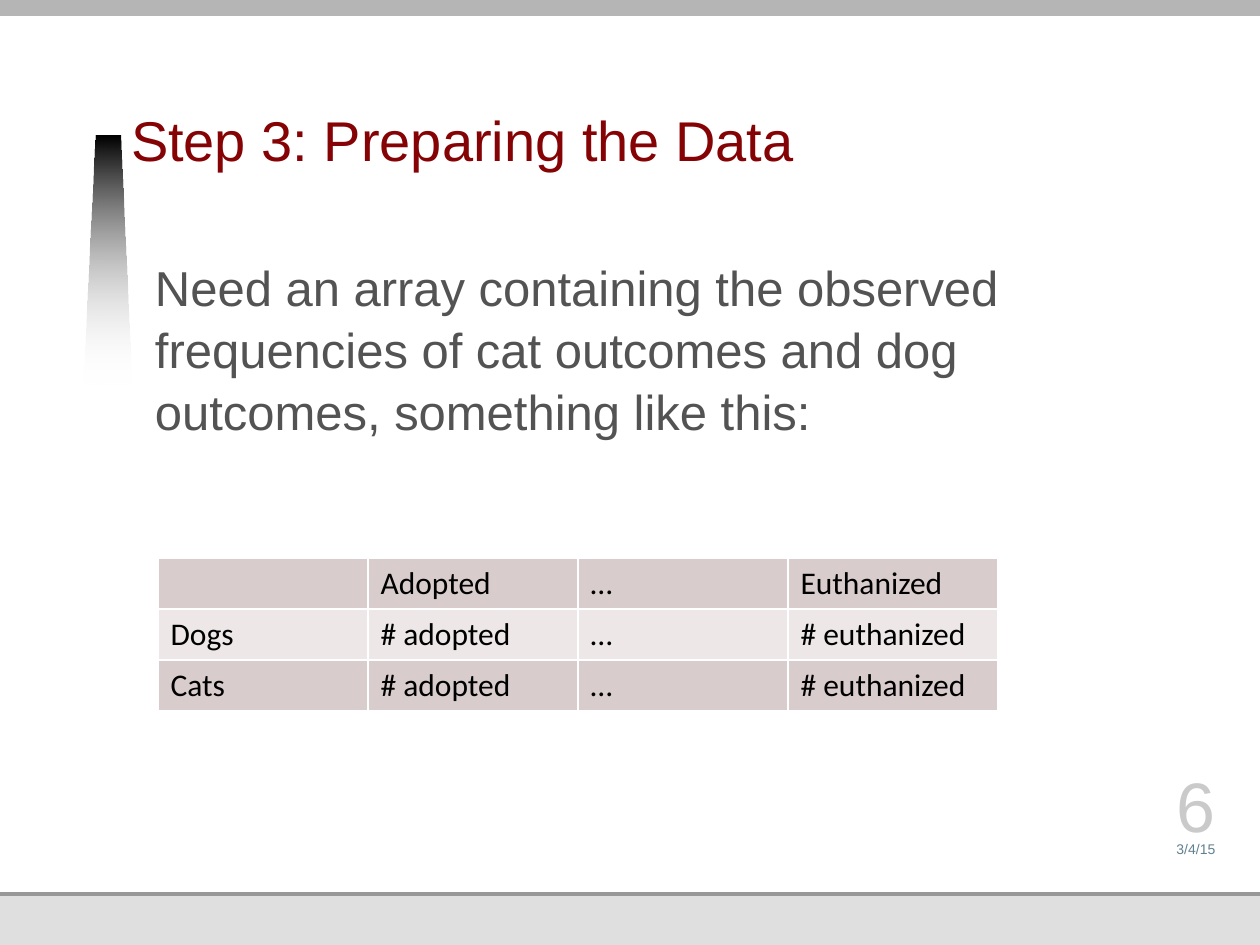
from lxml.etree import SubElement
from pptx import Presentation
from pptx.dml.color import RGBColor
from pptx.enum.shapes import MSO_SHAPE as Preset
from pptx.enum.text import MSO_ANCHOR as Anchor, PP_ALIGN as Align
from pptx.oxml.ns import qn
from pptx.util import Emu, Pt

SCALE = 914400 / 126
WIDTH, HEIGHT = 1260, 945

WHITE = RGBColor(0xFF, 0xFF, 0xFF)
BLACK = RGBColor(0x00, 0x00, 0x00)
FOOTER_GRAY = RGBColor(0xDF, 0xDF, 0xDF)
RULE_GRAY = RGBColor(0x98, 0x98, 0x98)
TOP_GRAY = RGBColor(0xB5, 0xB5, 0xB5)
MAROON = RGBColor(0x85, 0x02, 0x05)
BODY_GRAY = RGBColor(0x53, 0x53, 0x53)
DATE_BLUE = RGBColor(0x61, 0x80, 0x91)
NUMBER_GRAY = RGBColor(0xCA, 0xCA, 0xCA)
ROW_DARK = RGBColor(0xD9, 0xCC, 0xCC)
ROW_LIGHT = RGBColor(0xED, 0xE7, 0xE7)

BANDS = [
    ((0, 0, WIDTH, HEIGHT), FOOTER_GRAY),
    ((0, 224, WIDTH, 672), RULE_GRAY),
    ((0, 0, WIDTH, 892), WHITE),
    ((0, 0, 995, 14), RULE_GRAY),
    ((0, -5, 1281, 21), TOP_GRAY),
]
ACCENT = [(84, 384), (96, 136), (120, 136), (131, 384)]

TITLE = "Step 3: Preparing the Data"
BODY = ("Need an array containing the observed frequencies of cat outcomes "
        "and dog outcomes, something like this:")
TEXTS = [
    (TITLE, (131, 43, 866, 136), 32, MAROON, Anchor.BOTTOM, Align.LEFT, 6, Pt(34)),
    (BODY, (155, 255, 971, 604), 28, BODY_GRAY, Anchor.TOP, Align.LEFT, 6, 1.05),
    ("3/4/15", (1150, 829, 92, 28), 8, DATE_BLUE, Anchor.BOTTOM, Align.CENTER, 0, None),
    ("6", (1150, 776, 92, 71), 40, NUMBER_GRAY, Anchor.BOTTOM, Align.CENTER, 0, None),
]

OUTCOMES = [
    ["", "Adopted", "…", "Euthanized"],
    ["Dogs", "# adopted", "…", "# euthanized"],
    ["Cats", "# adopted", "…", "# euthanized"],
]
TABLE_LEFT, TABLE_TOP, COLUMN, ROW = 158, 558, 210, 51


def px(value):
    return Emu(round(value * SCALE))


def add_band(slide, box, color):
    band = slide.shapes.add_shape(Preset.RECTANGLE, *map(px, box))
    band.shadow.inherit = False
    band.fill.solid()
    band.fill.fore_color.rgb = color
    band.line.fill.background()


def add_accent(slide):
    builder = slide.shapes.build_freeform(*ACCENT[0], scale=SCALE)
    builder.add_line_segments(ACCENT[1:], close=True)
    accent = builder.convert_to_shape()
    accent.shadow.inherit = False
    accent.line.fill.background()
    accent.fill.gradient()
    accent.fill.gradient_angle = 270
    for stop, color, position in zip(accent.fill.gradient_stops, (BLACK, WHITE), (0, 1)):
        stop.color.rgb = color
        stop.position = position
    last_color = list(accent.fill._fill._gradFill.iter(qn("a:srgbClr")))[-1]
    SubElement(last_color, qn("a:alpha"), val="0")


def add_text(slide, text, box, size, color, anchor, align, inset, spacing):
    frame = slide.shapes.add_textbox(*map(px, box)).text_frame
    frame.word_wrap = True
    frame.vertical_anchor = anchor
    frame.margin_left = frame.margin_top = frame.margin_right = 0
    frame.margin_bottom = px(inset)
    frame.text = text
    paragraph = frame.paragraphs[0]
    paragraph.alignment = align
    paragraph.line_spacing = spacing
    style(paragraph.font, "Arial", size, color)


def style(font, name, size, color):
    font.name = name
    font.size = Pt(size)
    font.color.rgb = color
    font.bold = False


def add_borders(cell):
    properties = cell._tc.get_or_add_tcPr()
    for index, side in enumerate(("lnL", "lnR", "lnT", "lnB")):
        border = properties.makeelement(qn(f"a:{side}"), {"w": str(Pt(1))})
        fill = SubElement(border, qn("a:solidFill"))
        SubElement(fill, qn("a:srgbClr"), val=str(WHITE))
        properties.insert(index, border)


def add_outcomes(slide):
    rows, columns = len(OUTCOMES), len(OUTCOMES[0])
    box = (TABLE_LEFT, TABLE_TOP, COLUMN * columns, ROW * rows)
    table = slide.shapes.add_table(rows, columns, *map(px, box)).table
    table.first_row = table.horz_banding = False
    for row, labels in enumerate(OUTCOMES):
        for column, label in enumerate(labels):
            cell = table.cell(row, column)
            cell.text = label
            style(cell.text_frame.paragraphs[0].font, "Calibri", 18, BLACK)
            cell.fill.solid()
            cell.fill.fore_color.rgb = ROW_LIGHT if row % 2 else ROW_DARK
            add_borders(cell)


def main():
    deck = Presentation()
    deck.slide_width, deck.slide_height = px(WIDTH), px(HEIGHT)
    slide = deck.slides.add_slide(deck.slide_layouts[6])
    for band in BANDS:
        add_band(slide, *band)
    add_accent(slide)
    for text in TEXTS:
        add_text(slide, *text)
    add_outcomes(slide)
    deck.save("out.pptx")


if __name__ == "__main__":
    main()
